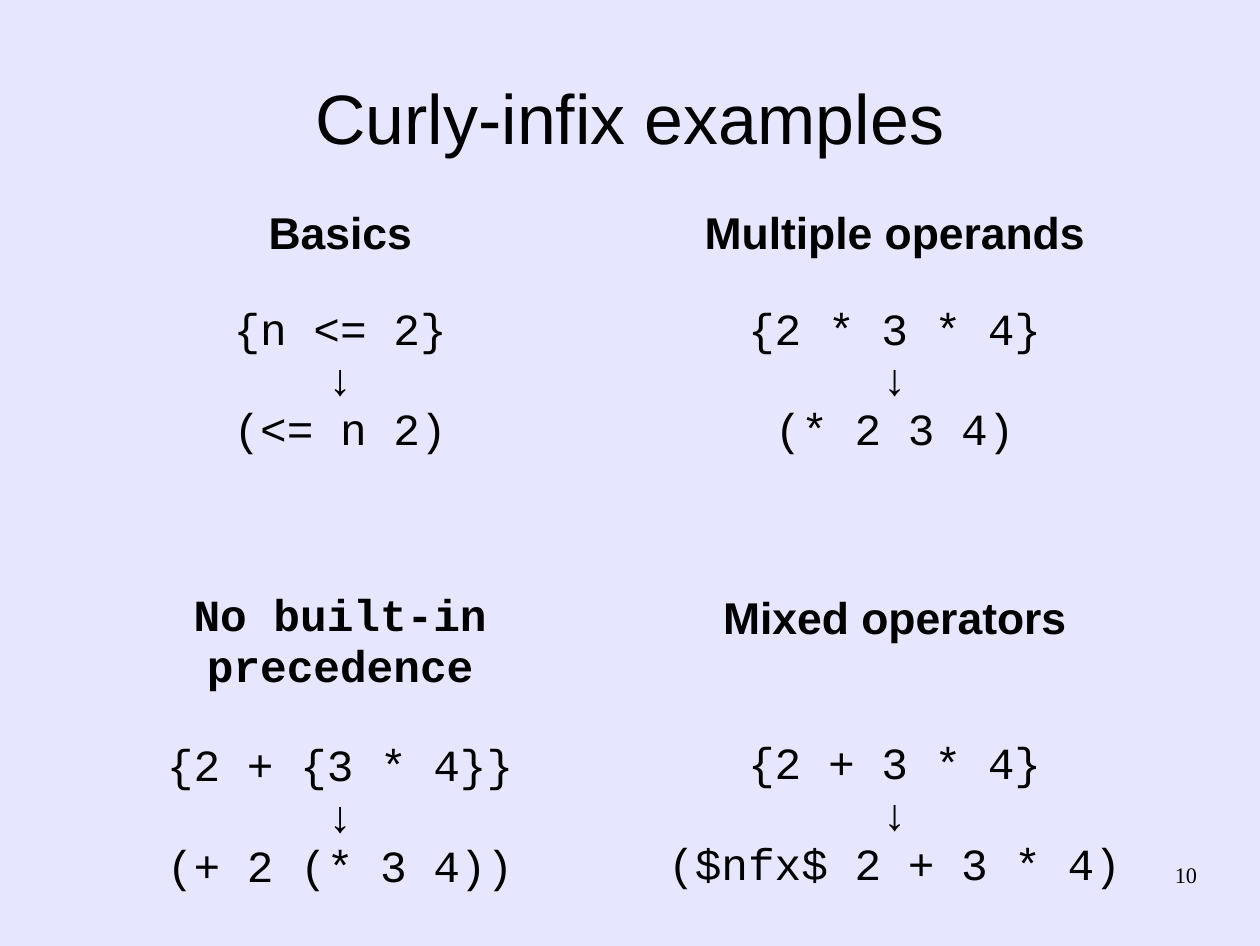
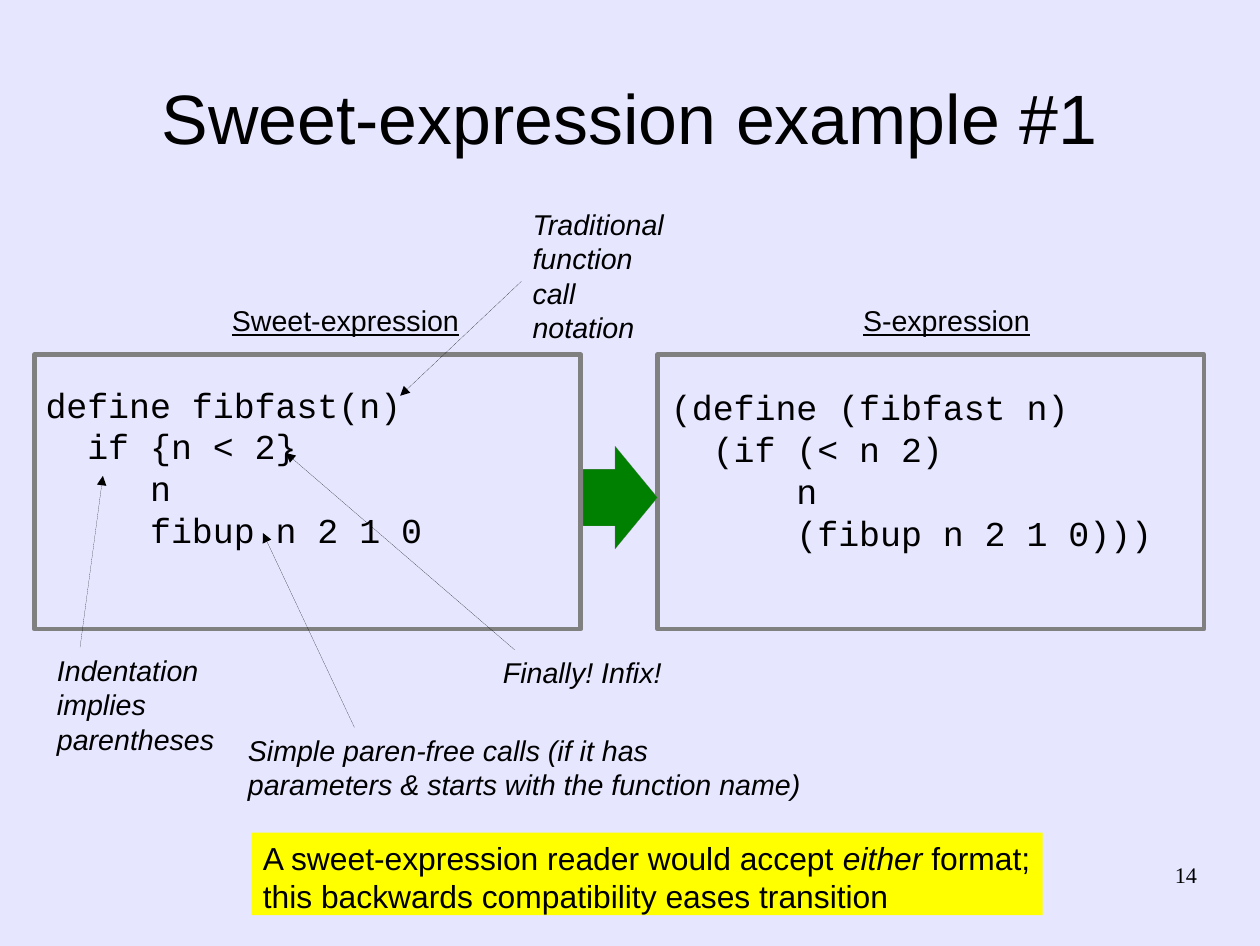
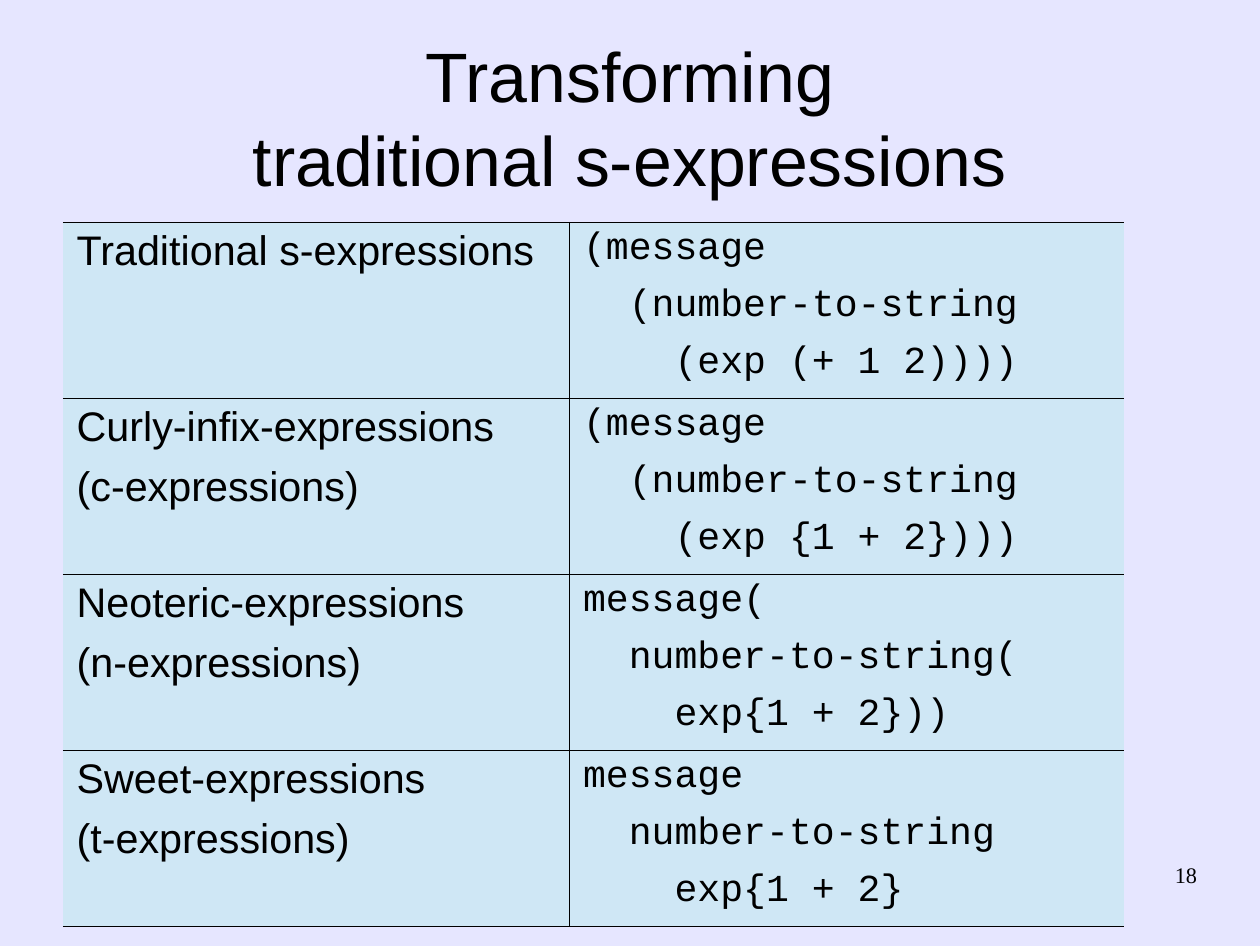
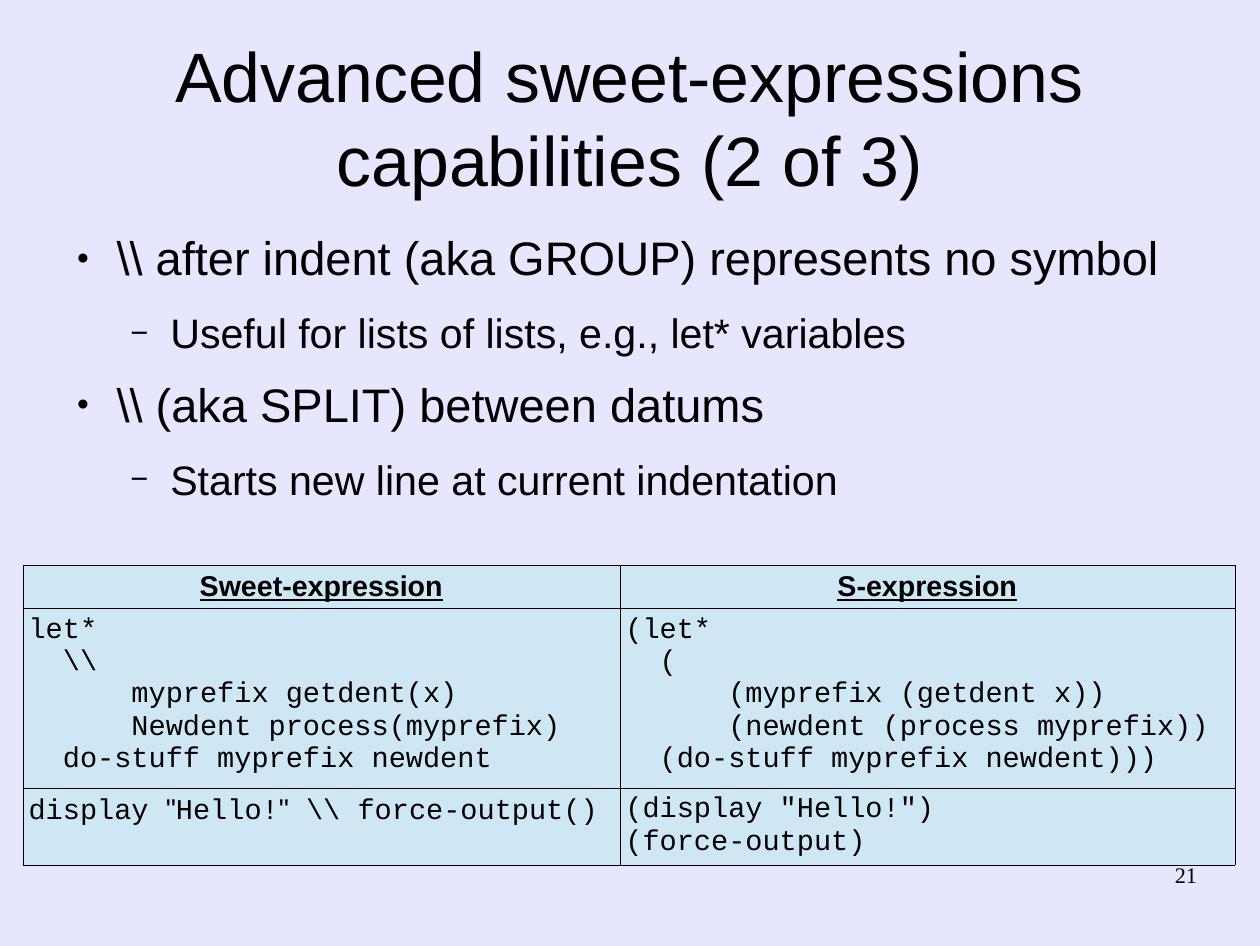
from lxml import etree
from pptx import Presentation
from pptx import util as u
from pptx.dml.color import RGBColor
from pptx.enum import shapes, text
from pptx.oxml.ns import qn

# Shared look
WIDTH, HEIGHT = 11.02, 8.27
SANS, MONO, SERIF = "Arial", "Courier New", "Times New Roman"
BLACK, GREY, LAVENDER = "000000", "808080", "E6E6FF"
PALE_BLUE, YELLOW, GREEN = "CFE7F5", "FFFF00", "008000"
HAIRLINE = 0.06
TITLE_BOX = (0.55, 0.33, 9.92, 1.38)
NUMBER_BOX = (7.9, 7.53, 2.57, 0.57)
INSET = (0.1, 0.05)
CENTER, RIGHT = text.PP_ALIGN.CENTER, text.PP_ALIGN.RIGHT

# Slide 1: heading, gap below it in points, source, result
EXAMPLES = [
    [("Basics", SANS, 31, "{n <= 2}", "(<= n 2)"),
     ("Multiple operands", SANS, 31, "{2 * 3 * 4}", "(* 2 3 4)")],
    [("No built-in precedence", MONO, 31, "{2 + {3 * 4}}", "(+ 2 (* 3 4))"),
     ("Mixed operators", SANS, 62, "{2 + 3 * 4}", "($nfx$ 2 + 3 * 4)")],
]

# Slide 2: frames, code, labels and remarks with their arrows
FRAMES = [(0.3, 3.1, 4.78, 2.4), (5.75, 3.1, 4.78, 2.4)]
LABELS = [("Sweet-expression", (1.93, 2.6, 2.4, 0.38)),
          ("S-expression", (7.45, 2.6, 1.9, 0.38))]
LISTINGS = [
    (["define fibfast(n)", "  if {n < 2}", "     n", "     fibup n 2 1 0"],
     (0.3, 3.3, 4, 1.48)),
    (["(define (fibfast n)", "  (if (< n 2)", "      n",
      "      (fibup n 2 1 0)))"], (5.77, 3.32, 4.64, 1.48)),
]
REMARKS = [
    (["Traditional", "function", "call", "notation"],
     (4.56, 1.76, 1.5, 1.22), (4.56, 2.46), (3.5, 3.46)),
    (["Indentation", "implies", "parentheses"],
     (0.4, 5.66, 1.67, 0.94), (0.7, 5.66), (0.9, 4.16)),
    (["Finally! Infix!"],
     (4.3, 5.68, 1.8, 0.38), (4.5, 5.68), (2.5, 3.96)),
    (["Simple paren-free calls (if it has",
      "parameters & starts with the function name)"],
     (2.07, 6.36, 5.3, 0.66), (3.1, 6.36), (2.3, 4.66)),
]
COMPATIBILITY = [
    [("A sweet-expression reader would accept ", {}),
     ("either", {"italic": True}), (" format;", {})],
    "this backwards compatibility eases transition",
]

# Slide 3: notation, code
NOTATIONS = [
    (["Traditional s-expressions"],
     ["(message", "  (number-to-string", "    (exp (+ 1 2))))"]),
    (["Curly-infix-expressions", "(c-expressions)"],
     ["(message", "  (number-to-string", "    (exp {1 + 2})))"]),
    (["Neoteric-expressions", "(n-expressions)"],
     ["message(", "  number-to-string(", "    exp{1 + 2}))"]),
    (["Sweet-expressions", "(t-expressions)"],
     ["message", "  number-to-string", "    exp{1 + 2}"]),
]

# Slide 4: bullets (level, words) and code pairs
POINTS = [
    (0, r"\\ after indent (aka GROUP) represents no symbol"),
    (1, "Useful for lists of lists, e.g., let* variables"),
    (0, r"\\ (aka SPLIT) between datums"),
    (1, "Starts new line at current indentation"),
]
BULLETS = [  # sign, sign size %, left margin, text size, space after
    ("●", 45, 0.47, 29.6, 14.2),
    ("−", 75, 0.94, 25.9, 11.3),
]
HEADINGS = ["Sweet-expression", "S-expression"]
QUOTE = ('"', {"font": SANS})
PAIRS = [
    (["let*", r"  \\", "      myprefix getdent(x)",
      "      Newdent process(myprefix)", "  do-stuff myprefix newdent"],
     ["(let*", "  (", "      (myprefix (getdent x))",
      "      (newdent (process myprefix))",
      "  (do-stuff myprefix newdent)))"]),
    ([[("display ", {}), QUOTE, ("Hello!", {}), QUOTE,
       (r" \\ force-output()", {})]],
     ['(display "Hello!")', "(force-output)"]),
]


def rgb(color):
    return RGBColor.from_string(color)


def inches(lengths):
    return [u.Inches(length) for length in lengths]


def write(frame, lines, size, font=SANS, align=None, before=0, after=0,
          indent=None, **style):
    """Append lines; a line is a string or a list of (words, changes)."""
    for line in lines:
        first = not frame.paragraphs[0].runs
        paragraph = frame.paragraphs[0] if first else frame.add_paragraph()
        if indent:
            for name, length in zip(("marL", "indent"), inches(indent)):
                paragraph._p.get_or_add_pPr().set(name, str(length))
        if align:
            paragraph.alignment = align
        paragraph.space_before = u.Pt(0 if first else before)
        paragraph.space_after = u.Pt(after)
        for words, changes in [(line, {})] if isinstance(line, str) else line:
            look = {"font": font, **style, **changes}
            run = paragraph.add_run()
            run.text = words
            run.font.size = u.Pt(size)
            run.font.name = look.pop("font")
            run.font.color.rgb = rgb(BLACK)
            for name, value in look.items():
                setattr(run.font, name, value)
    return paragraph


def set_frame(frame, inset=(0, 0), wrap=True, grow=False,
              anchor=text.MSO_ANCHOR.TOP):
    frame.margin_left = frame.margin_right = u.Inches(inset[0])
    frame.margin_top = frame.margin_bottom = u.Inches(inset[1])
    frame.word_wrap = wrap
    frame.vertical_anchor = anchor
    if grow:
        frame.auto_size = text.MSO_AUTO_SIZE.SHAPE_TO_FIT_TEXT
    return frame


def add_text(slide, box, **setting):
    return set_frame(slide.shapes.add_textbox(*inches(box)).text_frame, **setting)


def add_shape(slide, kind, box, fill=None, line=None, width=HAIRLINE):
    shape = slide.shapes.add_shape(kind, *inches(box))
    shape.shadow.inherit = False
    if fill:
        shape.fill.solid()
        shape.fill.fore_color.rgb = rgb(fill)
    else:
        shape.fill.background()
    if line:
        shape.line.color.rgb = rgb(line)
        shape.line.width = u.Pt(width)
    else:
        shape.line.fill.background()
    return shape


def add_arrow(slide, start, end):
    arrow = slide.shapes.add_connector(
        shapes.MSO_CONNECTOR.STRAIGHT, *inches(start + end))
    arrow.line.color.rgb = rgb(BLACK)
    arrow.line.width = u.Pt(HAIRLINE)
    etree.SubElement(arrow.line._get_or_add_ln(), qn("a:tailEnd"), type="triangle")
    etree.SubElement(arrow._element.spPr, qn("a:effectLst"))


def set_borders(cell, sides):
    """Draw a hairline on the named sides and nothing on the others."""
    properties = cell._tc.get_or_add_tcPr()
    for place, side in enumerate("LRTB"):
        line = etree.Element(qn("a:ln" + side), w=str(u.Pt(HAIRLINE)))
        if side in sides:
            fill = etree.SubElement(line, qn("a:solidFill"))
            etree.SubElement(fill, qn("a:srgbClr"), val=BLACK)
        else:
            etree.SubElement(line, qn("a:noFill"))
        properties.insert(place, line)


def add_table(slide, corner, columns, rows, inset, borders, fill=None):
    box = (*corner, sum(columns), sum(rows))
    table = slide.shapes.add_table(len(rows), len(columns), *inches(box)).table
    table.first_row = table.horz_banding = False
    for column, width in zip(table.columns, columns):
        column.width = u.Inches(width)
    for row, height in zip(table.rows, rows):
        row.height = u.Inches(height)
        for cell, sides in zip(row.cells, borders):
            if fill:
                cell.fill.solid()
                cell.fill.fore_color.rgb = rgb(fill)
            else:
                cell.fill.background()
            cell.margin_left = cell.margin_right = u.Inches(inset)
            # A slim lower margin keeps the rows at their set heights
            cell.margin_top, cell.margin_bottom = inches((0.05, 0.02))
            set_borders(cell, sides)
    return table


def add_slide(prs, title, number):
    slide = prs.slides.add_slide(prs.slide_layouts[6])
    frame = add_text(slide, TITLE_BOX, anchor=text.MSO_ANCHOR.MIDDLE)
    write(frame, title, 44, align=CENTER)
    write(add_text(slide, NUMBER_BOX), [str(number)], 14, SERIF, RIGHT)
    return slide


def curly_infix(prs):
    slide = add_slide(prs, ["Curly-infix examples"], 10)
    table = add_table(slide, (0.55, 1.78), [4.85] * 2, [3.37, 2.92], 0.04, ["", ""])
    for row, examples in zip(table.rows, EXAMPLES):
        for cell, (heading, font, gap, source, result) in zip(row.cells, examples):
            frame = cell.text_frame
            write(frame, [heading], 28, font, CENTER, bold=True)
            write(frame, [source], 28, MONO, CENTER, before=gap)
            write(frame, ["↓", result], 28, MONO, CENTER)


def sweet_example(prs):
    slide = add_slide(prs, ["Sweet-expression example #1"], 14)
    rectangle = shapes.MSO_SHAPE.RECTANGLE
    for box in FRAMES:
        add_shape(slide, rectangle, box, line=GREY, width=2.89)
    pointer = add_shape(slide, shapes.MSO_SHAPE.RIGHT_ARROW,
                        (5.1, 3.9, 0.65, 0.9), GREEN, GREY)
    pointer.adjustments[0], pointer.adjustments[1] = 0.55, 0.57

    for label, box in LABELS:
        frame = add_text(slide, box, inset=INSET, grow=True)
        write(frame, [label], 18, underline=True)
    for code, box in LISTINGS:
        write(add_text(slide, box, inset=INSET, grow=True), code, 22, MONO)
    for remark, box, start, end in REMARKS:
        frame = add_text(slide, box, inset=INSET, grow=True)
        write(frame, remark, 18, italic=True)
        add_arrow(slide, start, end)

    banner = add_shape(slide, rectangle, (2.2, 7.28, 6.92, 0.72), YELLOW)
    frame = set_frame(banner.text_frame, INSET, wrap=False, grow=True)
    write(frame, COMPATIBILITY, 20, align=text.PP_ALIGN.LEFT)


def transforming(prs):
    slide = add_slide(prs, ["Transforming", "traditional s-expressions"], 18)
    table = add_table(slide, (0.55, 1.94), [4.43, 4.85], [1.54] * len(NOTATIONS),
                      0.04, ["TRB", "LTB"], PALE_BLUE)
    spacing = {"before": 4.3, "after": 4.3, "indent": (0.04, 0.04)}
    for row, (notation, code) in zip(table.rows, NOTATIONS):
        write(row.cells[0].text_frame, notation, 26, **spacing)
        write(row.cells[1].text_frame, code, 24, MONO, **spacing)


def advanced(prs):
    slide = add_slide(
        prs, ["Advanced sweet-expressions", "capabilities (2 of 3)"], 21)

    # Bullets
    frame = add_text(slide, (0.55, 2, 9.7, 2.4))
    for level, words in POINTS:
        sign, percent, margin, size, after = BULLETS[level]
        paragraph = write(frame, [words], size, after=after, indent=(margin, -0.35))
        paragraph.level = level
        properties = paragraph._p.get_or_add_pPr()
        color = etree.SubElement(properties, qn("a:buClr"))
        etree.SubElement(color, qn("a:srgbClr"), val=BLACK)
        etree.SubElement(properties, qn("a:buSzPct"), val=str(percent * 1000))
        etree.SubElement(properties, qn("a:buFont"), typeface=SANS)
        etree.SubElement(properties, qn("a:buChar"), char=sign)

    # Code pairs
    table = add_table(slide, (0.2, 4.94), [5.22, 5.38], [0.38, 1.52, 0.67],
                      0.05, ["LRTB"] * 2, PALE_BLUE)
    for cell, heading in zip(table.rows[0].cells, HEADINGS):
        write(cell.text_frame, [heading], 18, align=CENTER, bold=True, underline=True)
    for number, pair in enumerate(PAIRS, 1):
        for cell, code in zip(table.rows[number].cells, pair):
            write(cell.text_frame, code, 18, MONO)


def main():
    prs = Presentation()
    prs.slide_width, prs.slide_height = inches((WIDTH, HEIGHT))
    backdrop = prs.slide_master.background.fill
    backdrop.solid()
    backdrop.fore_color.rgb = rgb(LAVENDER)
    for build in (curly_infix, sweet_example, transforming, advanced):
        build(prs)
    prs.save("out.pptx")


if __name__ == "__main__":
    main()
